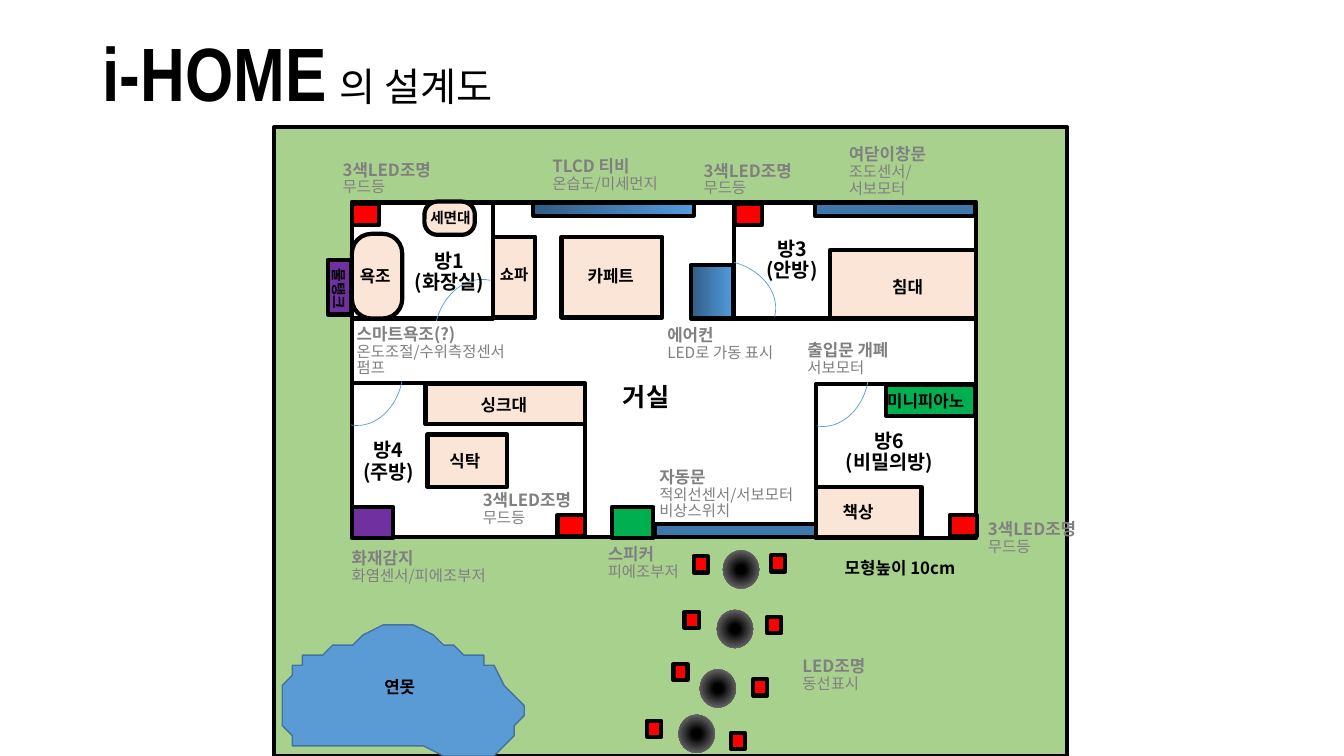
from lxml.etree import SubElement
from pptx import Presentation
from pptx.dml.color import RGBColor
from pptx.enum.shapes import MSO_SHAPE
from pptx.enum.text import MSO_ANCHOR, PP_ALIGN
from pptx.oxml.ns import qn
from pptx.util import Inches, Pt

COLOURS = {
    "black": "000000", "grey": "808080", "white": "FFFFFF", "lawn": "A9D18E",
    "window": "3D77AB", "screen dark": "305C84", "screen light": "529BDE",
    "furniture": "FBE5D6", "lamp": "FF0000", "green": "00B050",
    "purple": "7030A0", "water": "5B9BD5", "shore": "43739E",
}
CELL = Inches(0.1)  # every place and size below counts cells of this grid
LABEL_HEIGHT = 10.7
KOREAN_FONT = "Noto Sans CJK KR"

presentation = Presentation()
presentation.slide_width = int(133.3 * CELL)
presentation.slide_height = 75 * CELL
slide = presentation.slides.add_slide(presentation.slide_layouts[6])


def add_block(box, fill, kind=MSO_SHAPE.RECTANGLE, line="black", line_width=3):
    """Draw a preset shape; fill or line may be None."""
    shape = slide.shapes.add_shape(kind, *[int(length * CELL) for length in box])
    shape.shadow.inherit = False
    if fill:
        shape.fill.solid()
        shape.fill.fore_color.rgb = RGBColor.from_string(COLOURS[fill])
    else:
        shape.fill.background()
    if line:
        shape.line.color.rgb = RGBColor.from_string(COLOURS[line])
        shape.line.width = Pt(line_width)
    else:
        shape.line.fill.background()
    return shape


def add_label(box, paragraphs, align=PP_ALIGN.LEFT, colour="black"):
    """Add text; each paragraph is a list of (text, size, bold, latin font) runs."""
    label = slide.shapes.add_textbox(*[int(length * CELL) for length in box])
    text_frame = label.text_frame
    text_frame.word_wrap = True
    text_frame.vertical_anchor = MSO_ANCHOR.MIDDLE
    for index, runs in enumerate(paragraphs):
        paragraph = text_frame.add_paragraph() if index else text_frame.paragraphs[0]
        paragraph.alignment = align
        paragraph.line_spacing = 0.9
        for text, size, bold, font_name in runs:
            run = paragraph.add_run()
            run.text = text
            run.font.size = Pt(size)
            run.font.bold = bold
            run.font.name = font_name
            run.font.color.rgb = RGBColor.from_string(COLOURS[colour])
            SubElement(run.font._element, qn("a:ea"), typeface=KOREAN_FONT)
    return label


add_label((9.2, 0.4, 115, 14.5), [[
    ("i-HOME", 54, True, "Arial Narrow"),
    (" ", 40, False, "Arial Narrow"),
    ("의 설계도", 28, False, "Arial Narrow"),
]])

# Lawn, house and rooms
add_block((27.2, 12.6, 78.6, 62.4), "lawn")
rooms = [
    (34.9, 20.1, 61.9, 33.2), (34.9, 20.1, 14, 11.5), (72.8, 20.1, 24, 11.5),
    (34.9, 38, 23.1, 15.3), (80.9, 38.1, 15.9, 15.3),
]
for room in rooms:
    add_block(room, "white")

# Windows, television and air conditioner
for left, top in [(65, 52), (80.8, 20.1)]:
    add_block((left, top, 15.9, 1.3), "window")
for box in [(52.9, 20.1, 15.9, 1.3), (68.5, 26.3, 4.2, 5.3)]:
    screen = add_block(box, "screen dark")
    screen.fill.gradient()
    screen.fill.gradient_angle = 0
    for stop, shade in zip(screen.fill.gradient_stops, ["screen dark", "screen light"]):
        stop.color.rgb = RGBColor.from_string(COLOURS[shade])

# Door swings
doors = [(30.5, 32.8, 100.5), (76.7, 32.9, 100.5), (66.5, 25.9, 14.5), (42.1, 28.7, 284.3)]
for left, top, rotation in doors:
    door = add_block((left, top, 10.5, 8.4), None, MSO_SHAPE.ARC, "water", 0.5)
    door.rotation = rotation

# Furniture and devices
furniture = [
    (48.9, 23.5, 4.2, 8), (82.3, 24.8, 14.5, 6.8), (80.9, 48.3, 10.5, 5),
    (55.7, 23.5, 10, 8), (42.2, 38.1, 15.8, 4), (42.4, 43.1, 7.9, 5.2),
]
for box in furniture:
    add_block(box, "furniture")
for box in [(34.9, 23.2, 5, 8.4), (42.1, 20, 5, 3.3)]:
    basin = add_block(box, "furniture", MSO_SHAPE.ROUNDED_RECTANGLE)
    basin.adjustments[0] = 0.39
for box in [(60.7, 50.3, 4.1, 3.1), (87.9, 38.2, 8.8, 3.1)]:
    add_block(box, "green")
for box in [(34.9, 50.3, 4.1, 3.1), (32.5, 25.8, 2.3, 5.4)]:
    add_block(box, "purple")
for left, top in [(55.3, 51.1), (34.9, 20.2), (72.9, 20.2), (94.2, 51.1)]:
    add_block((left, top, 2.7, 2.1), "lamp")

# Garden path
path_lamps = [
    (76.5, 55.1), (76.1, 61.2), (74.7, 67.4), (72.5, 72.7),
    (68.8, 55.2), (67.9, 60.7), (66.8, 65.9), (64.2, 71.5),
]
for left, top in path_lamps:
    add_block((left, top, 1.4, 1.6), "lamp")
for left, top in [(71.7, 54.6), (71.1, 60.5), (69.4, 66.4), (67.3, 70.9)]:
    stone = add_block((left, top, 3.6, 3.8), "black", MSO_SHAPE.OVAL, None)
    stone.fill.gradient()
    for stop, position, shade in zip(stone.fill.gradient_stops, [0.16, 0.89], ["black", "grey"]):
        stop.position = position
        stop.color.rgb = RGBColor.from_string(COLOURS[shade])
    gradient = stone._element.spPr.find(qn("a:gradFill"))
    gradient.remove(gradient.find(qn("a:lin")))
    radial = SubElement(gradient, qn("a:path"), path="circle")
    SubElement(radial, qn("a:fillToRect"), l="50000", t="50000", r="50000", b="50000")

# Pond
shore = [
    (42.7, 62.6), (41.1, 62.5), (40.1, 62.2), (39.6, 62), (37.7, 62.2), (36.4, 62.8),
    (35.4, 63.5), (34.3, 64), (32.9, 64.3), (31.7, 64.6), (30.2, 65.3), (29.5, 66.1),
    (29.1, 66.4), (28.7, 67.3), (28.3, 68.3), (28.2, 70), (28.3, 71.7), (28.8, 73.1),
    (29.4, 73.8), (31.1, 74.3), (33, 74.3), (35, 74.1), (35.7, 73.8), (40.6, 74),
    (42.3, 74.3), (44.4, 74.7), (48.7, 74.6), (50.2, 74.1), (50.9, 73.2), (51.3, 71.7),
    (51.6, 71.3), (51.7, 70.4), (51.6, 69.6), (50.9, 68.9), (50.1, 67.6), (49.1, 66.1),
    (48, 65.5), (47.7, 65.2), (46.2, 64.7), (45.2, 64.3), (44.5, 63.7), (42.8, 63.4),
]
builder = slide.shapes.build_freeform(*shore[0], scale=CELL)
builder.add_line_segments(shore[1:], close=True)
pond = builder.convert_to_shape()
pond.shadow.inherit = False
pond.fill.solid()
pond.fill.fore_color.rgb = RGBColor.from_string(COLOURS["water"])
pond.line.color.rgb = RGBColor.from_string(COLOURS["shore"])
pond.line.width = Pt(1)

# Device notes: bold heading, plain details
mood_light = ["3색LED조명", "무드등"]
device_notes = [
    (64.4, 43.7, 17.5, ["자동문", "적외선센서/서보모터", "비상스위치"]),
    (53.8, 12.1, 14.6, ["TLCD 티비", "온습도/미세먼지"]),
    (83.2, 11.7, 17.6, ["여닫이창문", "조도센서/", "서보모터"]),
    (46.9, 45.2, 14.6, mood_light),
    (33, 12.4, 14.6, mood_light),
    (68.8, 12.5, 14.6, mood_light),
    (97, 48.1, 14.6, mood_light),
    (59.3, 50.5, 14.6, ["스피커", "피에조부저"]),
    (33.9, 50.9, 17.9, ["화재감지", "화염센서/피에조부저"]),
    (34.4, 29.5, 20.6, ["스마트욕조(?)", "온도조절/수위측정센서", "펌프"]),
    (78.6, 61.7, 14.6, ["LED조명", "동선표시"]),
    (79.1, 30.3, 20.1, ["출입문 개폐", "서보모터"]),
    (65.2, 28.8, 14.6, ["에어컨", "LED로 가동 표시"]),
]
for left, top, width, (heading, *details) in device_notes:
    paragraphs = [[(heading, 12, True, KOREAN_FONT)]]
    paragraphs += [[(detail, 11, False, KOREAN_FONT)] for detail in details]
    add_label((left, top, width, LABEL_HEIGHT), paragraphs, colour="grey")

# Names of objects
object_names = [
    (82.8, 51.1, 14.6, "모형높이 10cm", 12), (48.6, 22, 14.6, "쇼파", 11),
    (87.5, 23.2, 14.6, "침대", 12), (87, 34.5, 17.5, "미니피아노", 12),
    (82.6, 45.5, 14.6, "책상", 12), (34.7, 22.1, 14.6, "욕조", 12),
    (41.7, 16.4, 14.6, "세면대", 10.5), (57.3, 22.1, 9.3, "카페트", 12),
    (46.7, 34.9, 14.6, "싱크대", 12), (43.6, 40.5, 14.6, "식탁", 12),
    (60.8, 34.2, 42.5, "거실", 18),
]
for left, top, width, name, size in object_names:
    add_label((left, top, width, LABEL_HEIGHT), [[(name, size, True, KOREAN_FONT)]])

# Centred names
centred_names = [
    (73.9, 39.6, 28.6, ["방6", "(비밀의방)"], 14, 0),
    (32.6, 21.7, 23.9, ["방1", "(화장실)"], 14, 0),
    (71.8, 20.5, 13.5, ["방3", "(안방)"], 14, 0),
    (29.5, 40.5, 18.1, ["방4", "(주방)"], 14, 0),
    (35.5, 62.9, 8.3, ["연못"], 12, 0),
    (26.7, 23.3, 13.6, ["물탱크"], 10.5, 90),
]
for left, top, width, lines, size, rotation in centred_names:
    paragraphs = [[(line, size, True, KOREAN_FONT)] for line in lines]
    label = add_label((left, top, width, LABEL_HEIGHT), paragraphs, PP_ALIGN.CENTER)
    label.rotation = rotation

presentation.save("out.pptx")
